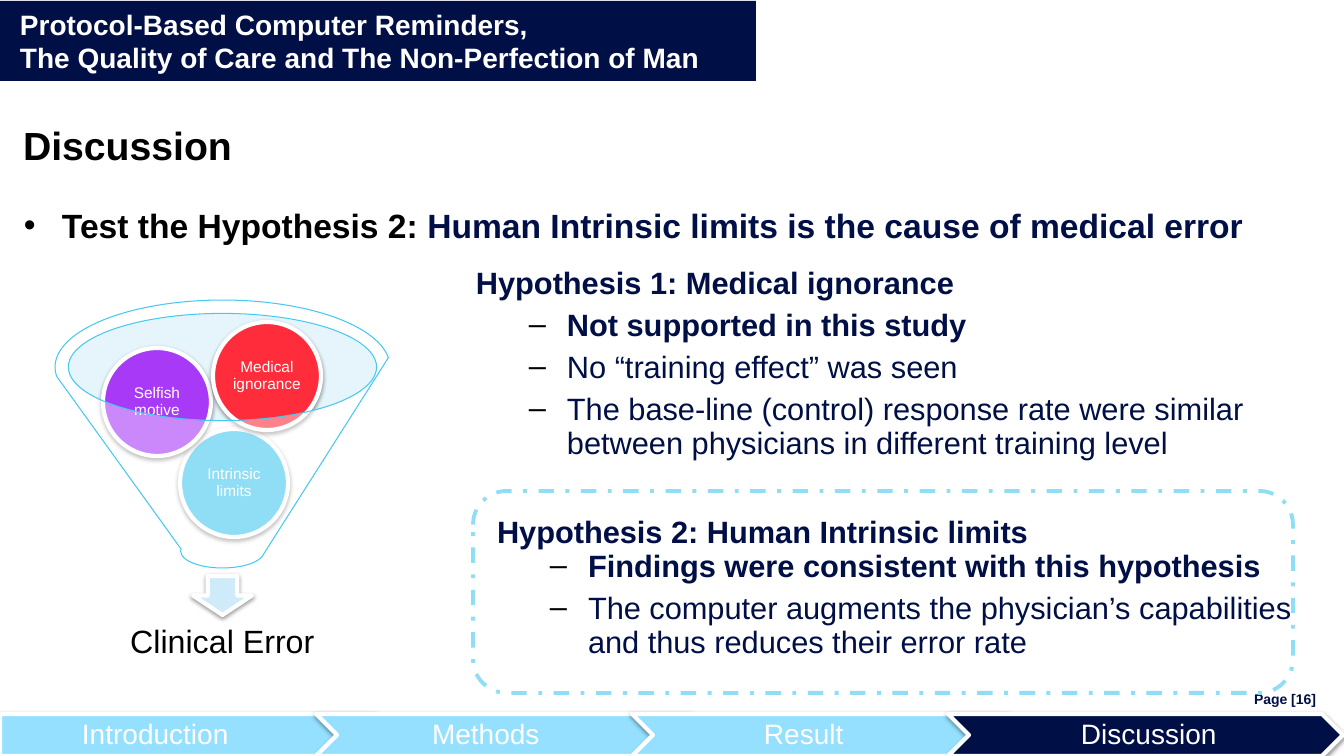
from lxml.etree import SubElement
from pptx import Presentation
from pptx.dml.color import RGBColor
from pptx.enum.dml import MSO_LINE
from pptx.enum.shapes import MSO_SHAPE
from pptx.enum.text import MSO_ANCHOR, MSO_AUTO_SIZE, PP_ALIGN
from pptx.oxml.ns import qn
from pptx.util import Emu, Pt

# Content
C = {"navy": "000F46", "white": "FFFFFF", "black": "000000", "sky": "46C8F0",
     "step": "95E0FF", "dash": "90DEF6", "mouth": "C1E6F8", "arrow": "CFEBF9",
     "purple": "A83AF7", "red": "FF2D3C"}
FONT = "Arial"
HEADER = ["Protocol-Based Computer Reminders,",
          "The Quality of Care and The Non-Perfection of Man"]
TITLE = "Discussion"
LEAD = [("Test the Hypothesis 2: ", "black"),
        ("Human Intrinsic limits is the cause of medical error", "navy")]
# Each hypothesis: box, inset, heading line spacing, heading, (finding, bold)
HYPOTHESES = [
    ((476, 267, 820, 196), (0, 0, 0, 0), True, "Hypothesis 1: Medical ignorance",
     [("Not supported in this study", True),
      ("No “training effect” was seen", False),
      ("The base-line (control) response rate were similar between "
       "physicians in different training level", False)]),
    ((487, 508, 830, 158), (10, 5, 10, 5), False, "Hypothesis 2: Human Intrinsic limits",
     [("Findings were consistent with this hypothesis", True),
      ("The computer augments the physician’s capabilities and thus "
       "reduces their error rate", False)]),
]
# Funnel balls: label, left, top, colour
BALLS = [("Intrinsic limits", 180, 429, "sky"),
         ("Selfish motive", 103, 348, "purple"),
         ("Medical ignorance", 213, 322, "red")]
BALL = 108
OUTCOME = "Clinical Error"
# Progress steps: label, left edge of its text, colour
STEPS = [("Introduction", 82, "step"), ("Methods", 432, "step"),
         ("Result", 764, "step"), ("Discussion", 1081, "navy")]
STEP_TOP, STEP_W, STEP_H, STEP_GAP = 714, 395, 42, 316
PAGE = "Page [16]"


def px(n):
    return Emu(round(n * 9144 / 1.008))


def rgb(name):
    return RGBColor.from_string(C[name])


def place(sp, box):
    sp.left, sp.top, sp.width, sp.height = map(px, box)


def add_shape(kind, box, fill=None, line=None, width=3, alpha=None, shadow=False):
    sp = s.shapes.add_shape(kind, *map(px, box))
    sp.shadow.inherit = False
    if fill:
        sp.fill.solid()
        sp.fill.fore_color.rgb = rgb(fill)
    else:
        sp.fill.background()
    if alpha:
        clr = sp.fill._xPr.find(qn("a:solidFill"))[0]
        SubElement(clr, qn("a:alpha"), val=str(alpha * 1000))
    if line:
        sp.line.color.rgb = rgb(line)
        sp.line.width = Pt(width)
    else:
        sp.line.fill.background()
    if shadow:
        effects = sp._element.spPr.find(qn("a:effectLst"))
        outer = SubElement(effects, qn("a:outerShdw"), blurRad=str(Pt(3.1)),
                           dist=str(Pt(1.6)), dir="5400000", rotWithShape="0")
        clr = SubElement(outer, qn("a:srgbClr"), val=C["black"])
        SubElement(clr, qn("a:alpha"), val="38000")
    return sp


def frame(sp, inset=(10, 5, 10, 5), anchor=MSO_ANCHOR.TOP):
    tf = sp.text_frame
    tf.word_wrap = True
    tf.auto_size = MSO_AUTO_SIZE.NONE
    tf.vertical_anchor = anchor
    tf.margin_left, tf.margin_top, tf.margin_right, tf.margin_bottom = map(px, inset)
    return tf


def add_text(box, **kw):
    return frame(s.shapes.add_textbox(*map(px, box)), **kw)


def add_run(p, text, size, color, bold=False):
    r = p.add_run()
    r.text = text
    r.font.name, r.font.size, r.font.bold = FONT, Pt(size), bold
    r.font.color.rgb = rgb(color)


def add_bullet(p, char, margin):
    pPr = p._p.get_or_add_pPr()
    pPr.set("marL", str(px(margin)))
    pPr.set("indent", str(px(-38)))
    clr = SubElement(pPr, qn("a:buClr"))
    SubElement(clr, qn("a:srgbClr"), val=C["black"])
    SubElement(pPr, qn("a:buFont"), typeface=FONT)
    SubElement(pPr, qn("a:buChar"), char=char)


def label(tf, text, size, color, align, spacing=0.9, bold=False):
    p = tf.paragraphs[0]
    p.alignment, p.line_spacing = align, spacing
    add_run(p, text, size, color, bold)


prs = Presentation()
prs.slide_width, prs.slide_height = px(1344), px(756)
s = prs.slides.add_slide(prs.slide_layouts[5])

# Title
place(s.shapes.title, (13, 116, 1024, 57))
label(frame(s.shapes.title), TITLE, 28, "black", PP_ALIGN.LEFT, 1.0, True)

# Funnel with its balls, arrow and outcome
add_shape(MSO_SHAPE.OVAL, (68, 314, 308, 107), "mouth", alpha=40)
add_shape(MSO_SHAPE.DOWN_ARROW, (193, 576, 59, 39), "arrow", "white", shadow=True)
tf = add_text((79, 607, 287, 72), anchor=MSO_ANCHOR.MIDDLE)
label(tf, OUTCOME, 23, "black", PP_ALIGN.CENTER)
for text, x, y, color in BALLS:
    sp = add_shape(MSO_SHAPE.OVAL, (x, y, BALL, BALL), color, "white", shadow=True)
    tf = frame(sp, (2, 2, 2, 2), MSO_ANCHOR.MIDDLE)
    label(tf, text, 11, "white", PP_ALIGN.CENTER)
add_shape(MSO_SHAPE.FUNNEL, (55, 300, 335, 268), "white", "sky", 0.75, alpha=40)

# Header band
sp = add_shape(MSO_SHAPE.RECTANGLE, (0, 1, 756, 80), "navy")
p = frame(sp, (20, 0, 0, 0), MSO_ANCHOR.MIDDLE).paragraphs[0]
p.alignment = PP_ALIGN.LEFT
for i, text in enumerate(HEADER):
    if i:
        p.add_line_break()
    add_run(p, text, 20, "white", True)

# Progress steps; a chevron's text area starts half its height in
for i, (text, text_x, color) in enumerate(STEPS):
    x = i * STEP_GAP
    kind = MSO_SHAPE.CHEVRON if i else MSO_SHAPE.PENTAGON
    notch = STEP_H // 2 if i else 0
    sp = add_shape(kind, (x, STEP_TOP, STEP_W, STEP_H), color, "white", shadow=True)
    tf = frame(sp, (text_x - x - notch, 6, 3, 6), MSO_ANCHOR.MIDDLE)
    label(tf, text, 20, "white", PP_ALIGN.LEFT)

# Page number
tf = add_text((1142, 687, 174, 24), inset=(0, 0, 0, 0), anchor=MSO_ANCHOR.MIDDLE)
label(tf, PAGE, 10, "navy", PP_ALIGN.RIGHT, Pt(12), True)

# Lead bullet
p = add_text((14, 200, 1302, 50)).paragraphs[0]
add_bullet(p, "•", 38)
for text, color in LEAD:
    add_run(p, text, 24, color, True)

# Hypotheses
for box, inset, spaced, heading, findings in HYPOTHESES:
    tf = add_text(box, inset=inset)
    p = tf.paragraphs[0]
    if spaced:
        p.line_spacing, p.space_after = Pt(24), Pt(6)
    add_run(p, heading, 22, "navy", True)
    for text, bold in findings:
        p = tf.add_paragraph()
        add_bullet(p, "‒", 91)
        p.line_spacing, p.space_after = Pt(24), Pt(6)
        add_run(p, text, 22, "navy", bold)

# Dashed frame around the supported hypothesis
sp = add_shape(MSO_SHAPE.ROUNDED_RECTANGLE, (473, 491, 820, 202), None, "dash", 2.75)
sp.line.dash_style = MSO_LINE.DASH_DOT

prs.save("out.pptx")
